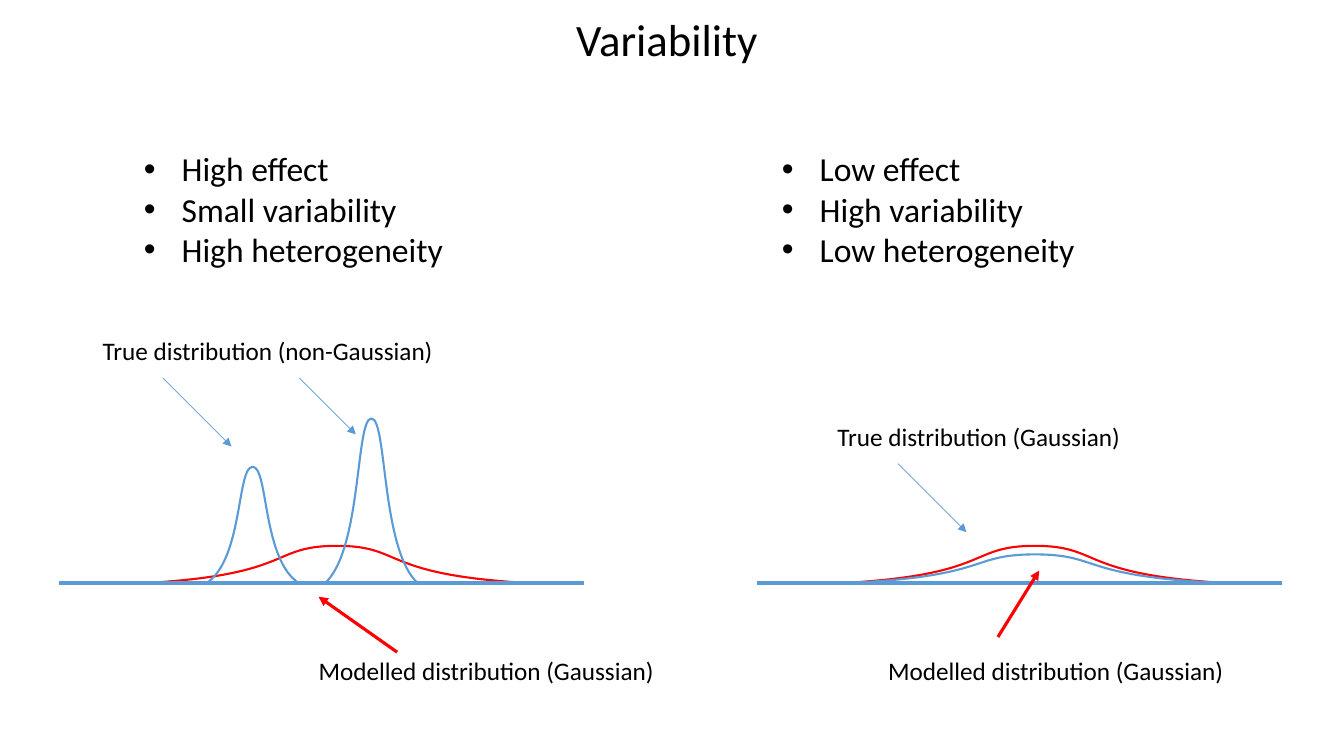
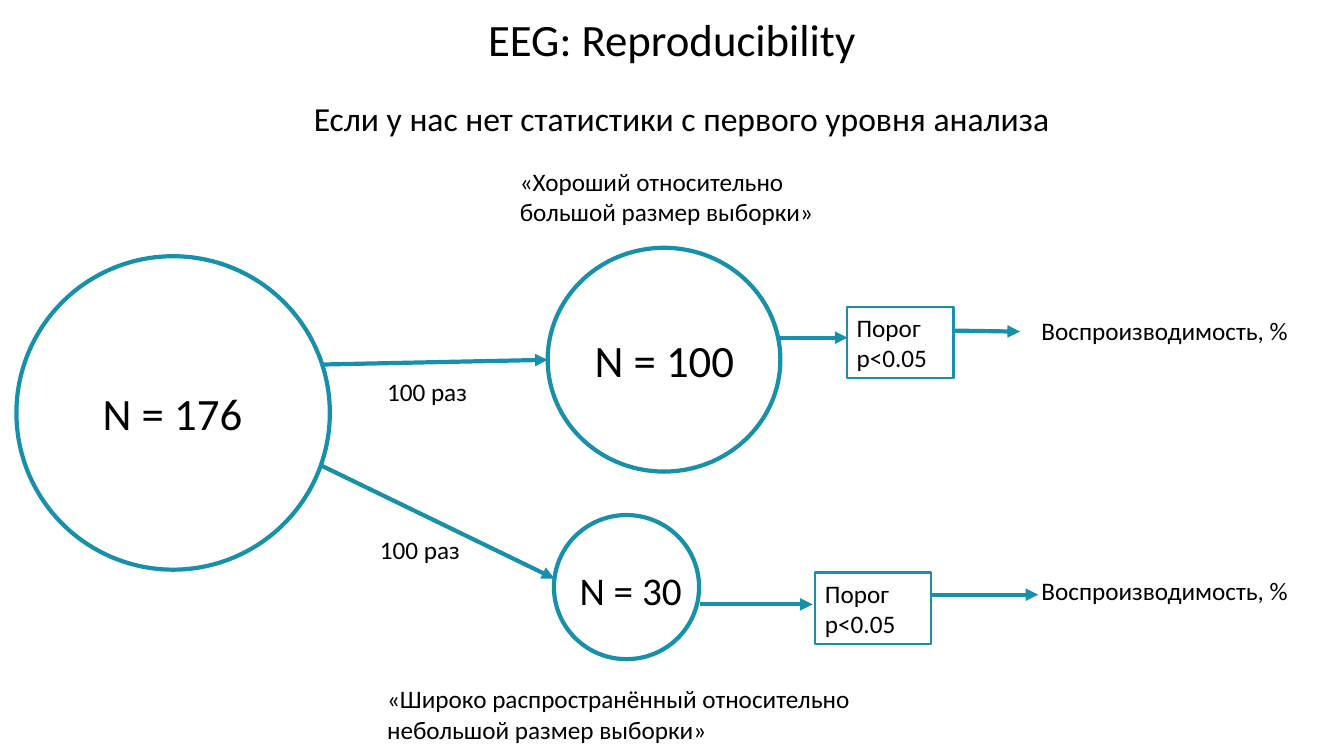
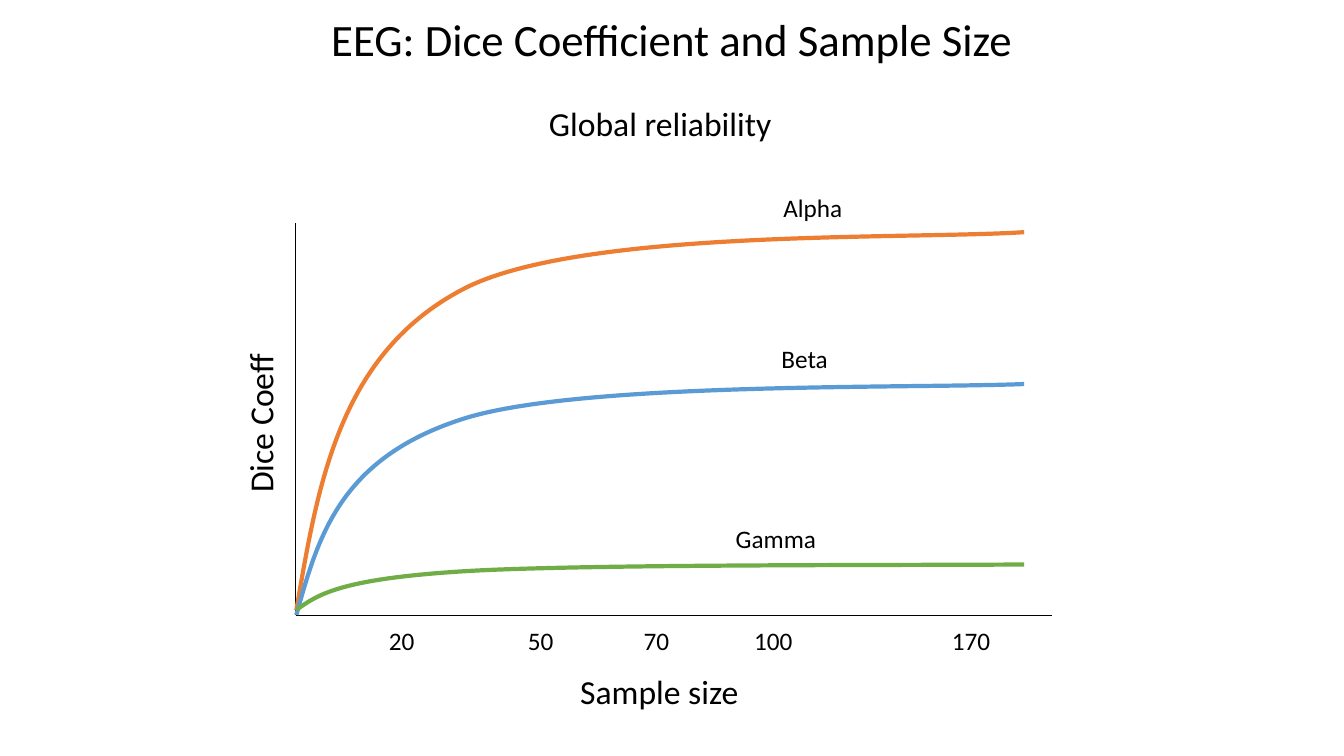
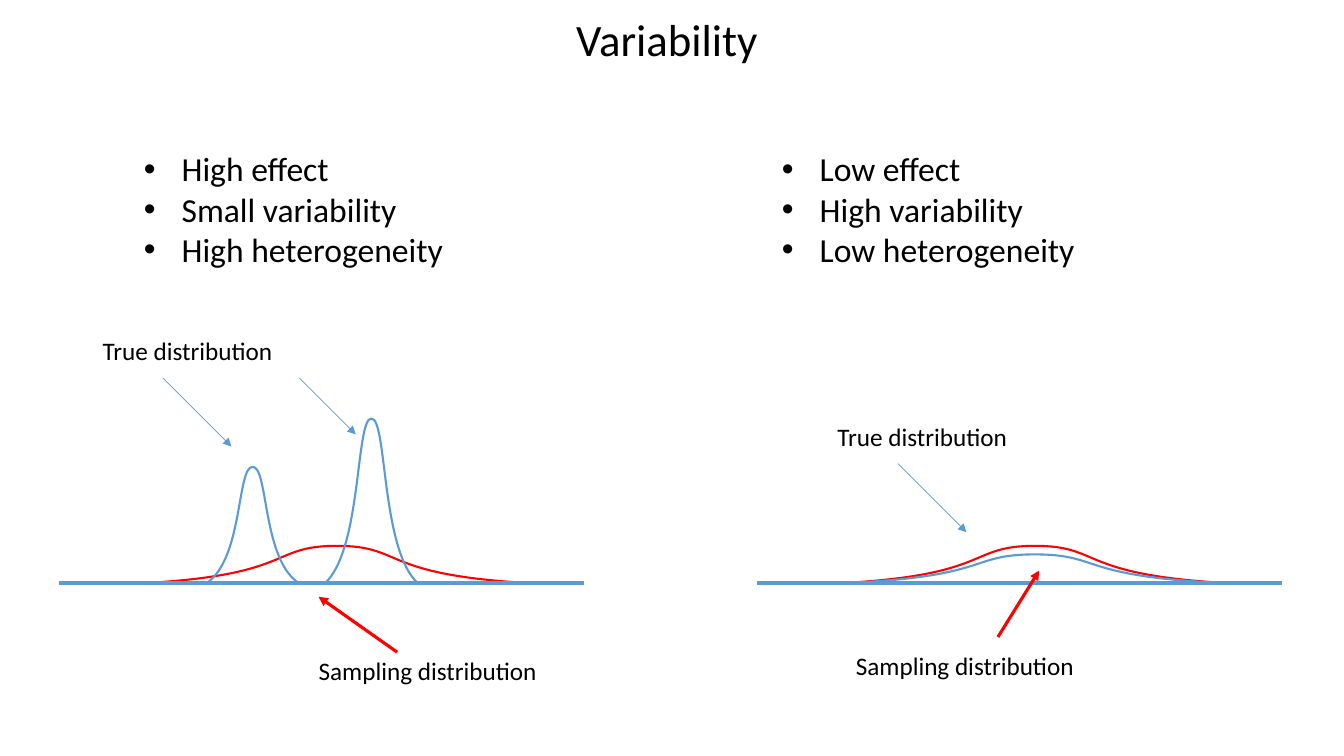
"""Build four slides on variability and reproducibility, on a 160 by 90 grid."""
from lxml import etree
from pptx import Presentation
from pptx import util as u
from pptx.dml import color
from pptx.enum import shapes, text
from pptx.oxml import ns

BLACK = color.RGBColor(0x00, 0x00, 0x00)
RED = color.RGBColor(0xFF, 0x00, 0x00)
BLUE = color.RGBColor(0x5B, 0x9B, 0xD5)
TEAL = color.RGBColor(0x18, 0x90, 0xAA)
ORANGE = color.RGBColor(0xED, 0x7D, 0x31)
GREEN = color.RGBColor(0x70, 0xAD, 0x47)

FONT = "Calibri"
SMALL, LARGE, HUGE = 18, 24, 32
LEFT, CENTER = text.PP_ALIGN.LEFT, text.PP_ALIGN.CENTER
TWO, ONLY = 3, 5
COLS, ROWS, CELL = 160, 90, 76200
BASE, FOOT = 69.4, 69.48

BELL = ((0, 1), (0.4, 0.8), (0.33, 0), (0.5, 0), (0.67, 0), (0.6, 0.8), (1, 1))
RISE = ((0, 1), (0.03, 0.66), (0.06, 0.32), (0.23, 0.15), (0.39, -0.01), (0.84, 0.02), (1, 0))


def grid(*cells):
    """Turn grid cells into slide lengths."""
    return [u.Emu(round(n * CELL)) for n in cells]


def place(shape, *box):
    """Move a shape to a box of the grid."""
    shape.left, shape.top, shape.width, shape.height = grid(*box)


def write(shape, words, size, align=LEFT):
    """Fill a shape with black text."""
    frame = shape.text_frame
    frame.text = words
    for para in frame.paragraphs:
        para.alignment = align
        para.space_before = u.Pt(0)
        for run in para.runs:
            run.font.name, run.font.size = FONT, u.Pt(size)
            run.font.color.rgb = BLACK


def note(slide, words, x, y, wide, size=SMALL, align=LEFT, rows=1):
    """Add a text box whose height follows its rows."""
    high = rows * size * 1.22 / 6 + 1.2
    box = slide.shapes.add_textbox(*grid(x, y, wide, high))
    box.text_frame.word_wrap = True
    write(box, words, size, align)
    return box


def stroke(shape, shade, width):
    """Leave a shape with an outline only."""
    shape.shadow.inherit = False
    shape.fill.background()
    shape.line.color.rgb = shade
    shape.line.width = u.Pt(width)


def line(slide, start, end, shade, width, head=True):
    """Draw a straight line, with an arrowhead if wanted."""
    link = slide.shapes.add_connector(shapes.MSO_CONNECTOR.STRAIGHT, *grid(*start, *end))
    link.line.color.rgb = shade
    link.line.width = u.Pt(width)
    if head:
        etree.SubElement(link.line._get_or_add_ln(), ns.qn("a:tailEnd"), type="triangle")
    etree.SubElement(link._element.spPr, ns.qn("a:effectLst"))


def bend(shape, knots):
    """Turn the first segments of an outline into cubic curves."""
    segs = list(shape._element.iter(ns.qn("a:lnTo")))
    for i, seg in zip(range(1, len(knots), 3), segs):
        seg.tag = ns.qn("a:cubicBezTo")
        seg.remove(seg[0])
        for px, py in knots[i:i + 3]:
            etree.SubElement(seg, ns.qn("a:pt"), x=str(round(px * shape.width)),
                             y=str(round(py * shape.height)))


def curve(slide, knots, x, y, wide, high, shade, width, close=False):
    """Draw a curve stretched over a box of the grid."""
    first, *rest = [grid(x + wide * px, y + high * py) for px, py in knots[::3]]
    pen = slide.shapes.build_freeform(*first)
    pen.add_line_segments(rest + [first] * close, close=close)
    shape = pen.convert_to_shape()
    bend(shape, knots)
    stroke(shape, shade, width)


def bell(slide, x, wide, high, shade):
    """Stand a bell curve on the base line."""
    curve(slide, BELL, x, FOOT - high, wide, high, shade, 1.5, True)


def start(deck, layout, title, x=32.6, wide=94.8, align=CENTER):
    """Add a slide with its title."""
    slide = deck.slides.add_slide(deck.slide_layouts[layout])
    place(slide.shapes.title, x, 0.8, wide, 7.7)
    write(slide.shapes.title, title, HUGE, align)
    return slide


def points(shape, x, words):
    """Set a bulleted list in a body placeholder."""
    place(shape, x, 17.06, 47.2, 15.7)
    shape.text_frame.auto_size = text.MSO_AUTO_SIZE.NONE
    write(shape, words, LARGE)
    for para in shape.text_frame.paragraphs:
        edge = para._p.get_or_add_pPr()
        edge.set("marL", str(u.Pt(27)))
        edge.set("indent", str(-u.Pt(27)))


def vary(deck, true, model, spot):
    """Compare two true distributions with the modelled ones."""
    slide = start(deck, TWO, "Variability", 67.4, 25.2, LEFT)
    lists = ("High effect\nSmall variability\nHigh heterogeneity",
             "Low effect\nHigh variability\nLow heterogeneity")
    for hold, x, words in zip(list(slide.placeholders)[1:], (15.92, 91.88), lists):
        points(hold, x, words)
    for x in (7, 90.1):
        bell(slide, x + 8.93, 48.36, 4.5, RED)
        line(slide, (x, BASE), (x + 62.55, BASE), BLUE, 2.25, False)
    for x, wide, high in ((24.5, 11.16, 13.9), (38.64, 11.16, 19.66), (99.03, 48.36, 3.48)):
        bell(slide, x, wide, high, BLUE)
    for x, y, reach in ((19.4, 45, 8.16), (35.64, 45, 6.72), (106.9, 55.2, 8.16)):
        line(slide, (x, y), (x + reach, y + reach), BLUE, 0.5)
    line(slide, (47.28, 77.64), (37.92, 71.04), RED, 2.25)
    line(slide, (118.8, 75.84), (123.72, 67.92), RED, 2.25)
    for words, (x, y) in zip(true, ((11.04, 39.33), (98.52, 49.6))):
        note(slide, words, x, y, 44)
    for x, y in ((36.75, 77.4), spot):
        note(slide, model, x, y, 44)


def flow(deck):
    """Show how samples lead to reproducibility."""
    slide = start(deck, ONLY, "EEG: Reproducibility")
    note(slide, "Если у нас нет статистики с первого уровня анализа", 36.2, 11.06, 131, LARGE)
    for box in ((1.95, 30.5, 37.32, 37.32), (65.2, 29.5, 27.7, 26.64),
                (65.95, 61.32, 17.28, 17.16)):
        ring = slide.shapes.add_shape(shapes.MSO_SHAPE.OVAL, *grid(*box))
        stroke(ring, TEAL, 3)
    for words, x, y, size in (("N = 176", 11.04, 45.36, HUGE), ("N = 100", 69.6, 39, HUGE),
                              ("N = 30", 67.82, 66.84, 28)):
        note(slide, words, x, y, 20, size)
    for box in ((100.8, 36.55, 12.72, 8.5), (97.03, 68.16, 13.85, 8.5)):
        gate = slide.shapes.add_shape(shapes.MSO_SHAPE.RECTANGLE, *grid(*box))
        stroke(gate, TEAL, 1.5)
        write(gate, "Порог\np<0.05", SMALL)
    for tail, tip in (((38.2, 43.4), (65.2, 42.84)), ((38.2, 55.4), (66, 68.88)),
                      ((92.64, 40.2), (100.9, 40.2)), ((83.3, 71.95), (96.75, 71.95)),
                      ((113.5, 39.36), (121.44, 39.48)), ((110.9, 70.8), (123.6, 70.8))):
        line(slide, tail, tip, TEAL, 3)
    note(slide, "«Хороший относительно большой размер выборки»", 60.7, 19.2, 38.5, rows=2)
    note(slide, "«Широко распространённый относительно небольшой размер выборки»",
         44.9, 80.8, 58, rows=2)
    for x, y in ((44.9, 44.2), (44.05, 63)):
        note(slide, "100 раз", x, y, 14)
    for y in (37, 67.9):
        note(slide, "Воспроизводимость, %", 122.8, y, 35.3)


def dice(deck):
    """Sketch the Dice coefficient against sample size."""
    slide = start(deck, ONLY, "EEG: Dice Coefficient and Sample Size")
    note(slide, "Global reliability", 51.7, 11.6, 53.8, LARGE, CENTER)
    for end in ((35.2, 26.6), (125.3, 73.2)):
        line(slide, (35.2, 73.2), end, BLACK, 0.5, False)
    for name, x, y, top, high, shade in (("Alpha", 92.08, 22.3, 27.64, 45, ORANGE),
                                         ("Beta", 91.85, 40.3, 45.72, 27.48, BLUE),
                                         ("Gamma", 86.4, 61.7, 67.2, 5.4, GREEN)):
        curve(slide, RISE, 35.28, top, 86.64, high, shade, 3)
        note(slide, name, x, y, 18.4)
    for size, mid in ((20, 47.8), (50, 64.35), (70, 78.15), (100, 92.05), (170, 115.6)):
        note(slide, str(size), mid - 5, 73.8, 10, align=CENTER)
    note(slide, "Sample size", 67.9, 79.3, 24, LARGE)
    note(slide, "Dice Coeff", 19, 47.36, 24, LARGE, CENTER).rotation = 270


def main():
    """Build and save the deck."""
    deck = Presentation()
    deck.slide_width, deck.slide_height = grid(COLS, ROWS)
    vary(deck, ("True distribution (non-Gaussian)", "True distribution (Gaussian)"),
         "Modelled distribution (Gaussian)", (104.55, 77.4))
    flow(deck)
    dice(deck)
    vary(deck, ("True distribution",) * 2, "Sampling distribution", (100.7, 76.8))
    deck.save("out.pptx")


if __name__ == "__main__":
    main()
